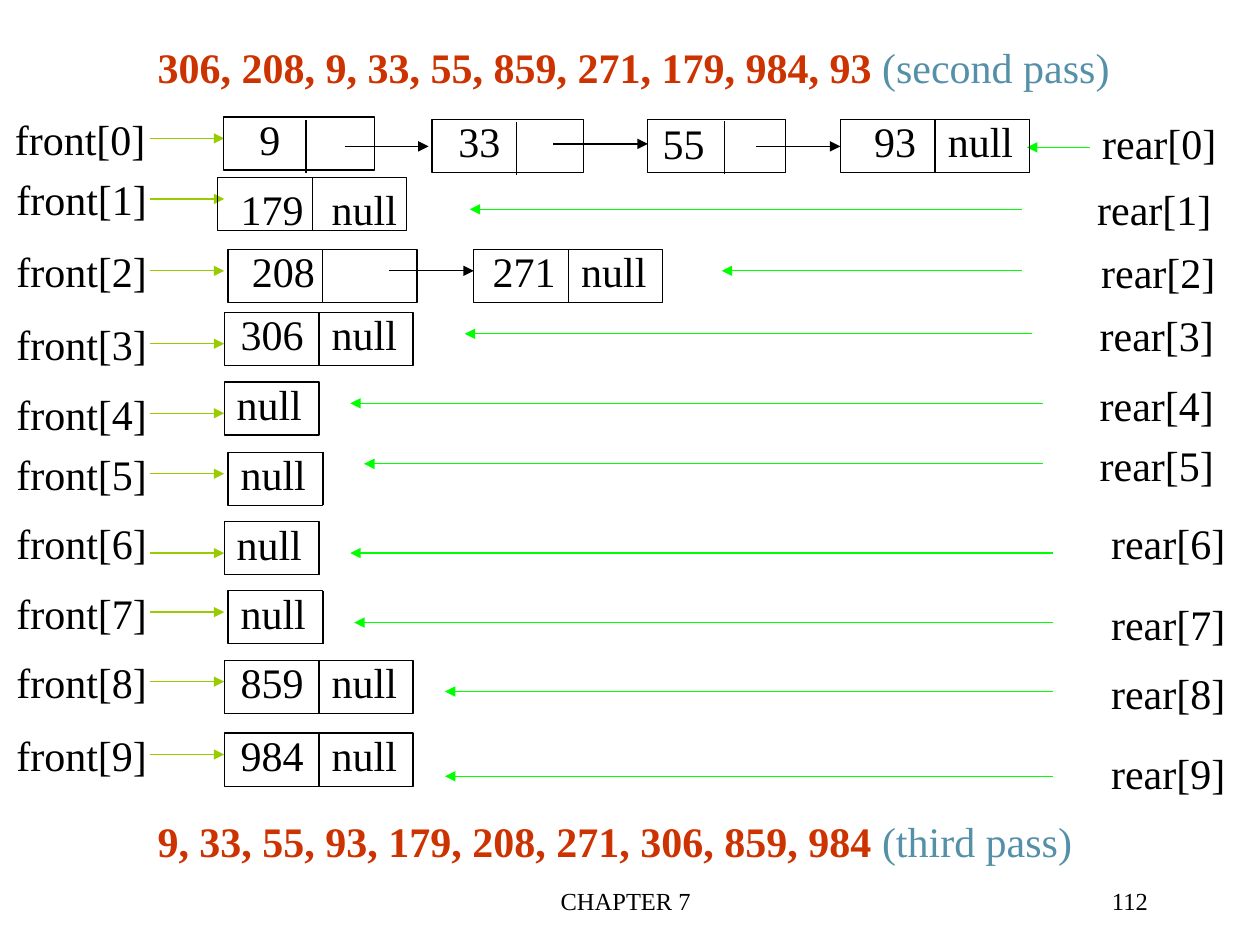
from lxml import etree
from pptx import Presentation
from pptx import util as u
from pptx.dml.color import RGBColor
from pptx.enum import shapes, text
from pptx.oxml.ns import qn

COLORS = {"ink": "000000", "front": "99CC00", "rear": "00FF00",
          "list": "CC3300", "pass": "5490A8"}
LEFT, CENTER, RIGHT = text.PP_ALIGN.LEFT, text.PP_ALIGN.CENTER, text.PP_ALIGN.RIGHT
TEXT_H, NODE_H, NULL_W = 1.27, 1.07, 1.83

prs = Presentation()
prs.slide_width, prs.slide_height = u.Cm(25.4), u.Cm(19.05)
s = prs.slides.add_slide(prs.slide_layouts[6])


def add_text(x, y, w, runs, align=LEFT, size=24, wrap=False):
    """Add one line of text; runs holds (wording, colour name, bold) tuples."""
    sp = s.shapes.add_textbox(u.Cm(x), u.Cm(y), u.Cm(w), u.Cm(TEXT_H))
    tf = sp.text_frame
    tf.word_wrap = wrap
    if not wrap:
        tf.auto_size = text.MSO_AUTO_SIZE.SHAPE_TO_FIT_TEXT
    p = tf.paragraphs[0]
    p.alignment = align
    for wording, color, bold in runs:
        r = p.add_run()
        r.text = wording
        r.font.name, r.font.size, r.font.bold = "Times New Roman", u.Pt(size), bold
        r.font.color.rgb = RGBColor.from_string(COLORS[color])


def add_line(x1, y1, x2, y2, color="ink", arrow=True):
    c = s.shapes.add_connector(shapes.MSO_CONNECTOR.STRAIGHT,
                               u.Cm(x1), u.Cm(y1), u.Cm(x2), u.Cm(y2))
    c.line.width = u.Pt(0.75)
    c.line.color.rgb = RGBColor.from_string(COLORS[color])
    if arrow:
        etree.SubElement(c.line._get_or_add_ln(), qn("a:tailEnd"), type="triangle")
    etree.SubElement(c._element.spPr, qn("a:effectLst"))


# Input and output of the pass, with the footer
for y, w, numbers, note in [
    (0.71, 19.71, "306, 208, 9, 33, 55, 859, 271, 179, 984, 93 ", "(second pass)"),
    (16.31, 18.95, "9, 33, 55, 93, 179, 208, 271, 306, 859, 984 ", "(third pass)"),
]:
    add_text(2.92, y, w, [(numbers, "list", True), (note, "pass", False)], CENTER)
add_text(8.59, 17.73, 8.05, [("CHAPTER 7", "ink", False)], CENTER, 14, True)
add_text(18.11, 17.73, 5.28, [("112", "ink", False)], RIGHT, 14, True)

# Queue ends: front top, front arrow y, rear left, rear top, rear arrow y, start, end
queues = [
    (2.16, 2.79, 21.97, 2.24, 2.97, 21.97, 20.7),
    (3.38, 4.01, 21.87, 3.58, 4.22, 20.6, 9.47),
    (4.83, 5.46, 21.95, 4.85, 5.46, 20.6, 14.55),
    (6.3, 6.93, 21.92, 6.12, 6.73, 20.8, 9.37),
    (7.7, 8.33, 21.92, 7.52, 8.13, 21.03, 7.06),
    (8.92, 9.55, 21.92, 8.74, 9.35, 21.03, 7.34),
    (10.31, 11.15, 22.15, 10.31, 11.15, 21.23, 7.06),
    (11.71, 12.34, 22.15, 11.94, 12.55, 21.23, 7.14),
    (13.11, 13.74, 22.15, 13.34, 13.94, 21.23, 8.97),
    (14.58, 15.21, 22.15, 14.94, 15.65, 21.23, 8.97),
]
for i, (front_y, front_arrow, rear_x, rear_y, rear_arrow, start, end) in enumerate(queues):
    add_text(0.08 if i else 0.05, front_y, 3.15, [(f"front[{i}]", "ink", False)])
    add_line(3.02, front_arrow, 4.52, front_arrow, "front")
    add_text(rear_x, rear_y, 2.82, [(f"rear[{i}]", "ink", False)])
    add_line(start, rear_arrow, end, rear_arrow, "rear")

# List nodes: value, left, top, width, divider x, divider drop, value x, value y, null x
nodes = [
    ("9", 4.5, 2.36, 3.05, 6.17, 0.05, 4.98, 2.16, None),
    ("33", 8.71, 2.41, 3.05, 10.41, 0.05, 8.99, 2.21, None),
    ("55", 13.06, 2.41, 2.77, 14.61, 0.03, 13.11, 2.24, None),
    ("93", 16.94, 2.41, 3.81, 18.85, 0, 17.37, 2.21, 18.85),
    ("179", 4.39, 3.58, 3.81, 6.3, 0, 4.6, 3.58, 6.43),
    ("208", 4.6, 5.03, 3.81, 6.5, 0, 4.83, 4.83, None),
    ("271", 9.55, 5.03, 3.81, 11.46, 0, 9.68, 4.83, 11.46),
    ("306", 4.52, 6.3, 3.81, 6.43, 0, 4.6, 6.1, 6.43),
    ("859", 4.52, 13.31, 3.81, 6.43, 0, 4.6, 13.11, 6.43),
    ("984", 4.52, 14.78, 3.81, 6.43, 0, 4.6, 14.58, 6.43),
]
# Empty queues hold a single null cell
for x, y in [(4.52, 7.7), (4.6, 9.12), (4.52, 10.52), (4.6, 11.91)]:
    nodes.append(("null", x, y, 1.91, x + 1.91, 0, x, y - 0.2, None))

for value, x, y, w, divider, drop, value_x, value_y, null_x in nodes:
    sp = s.shapes.add_shape(shapes.MSO_SHAPE.RECTANGLE,
                            u.Cm(x), u.Cm(y), u.Cm(w), u.Cm(NODE_H))
    sp.shadow.inherit = False
    sp.fill.background()
    sp.line.width = u.Pt(0.75)
    sp.line.color.rgb = RGBColor.from_string(COLORS["ink"])
    add_line(divider, y + drop, divider, y + drop + NODE_H, arrow=False)
    value_w = NULL_W if value == "null" else 0.52 + 0.42 * len(value)
    add_text(value_x, value_y, value_w, [(value, "ink", False)])
    if null_x is not None:
        add_text(null_x, value_y, NULL_W, [("null", "ink", False)], CENTER)

# Links from node to node
for start, end, y in [(6.96, 8.64, 2.95), (11.15, 13.06, 2.9),
                      (15.24, 16.94, 2.95), (7.85, 9.55, 5.46)]:
    add_line(start, y, end, y)

prs.save("out.pptx")
